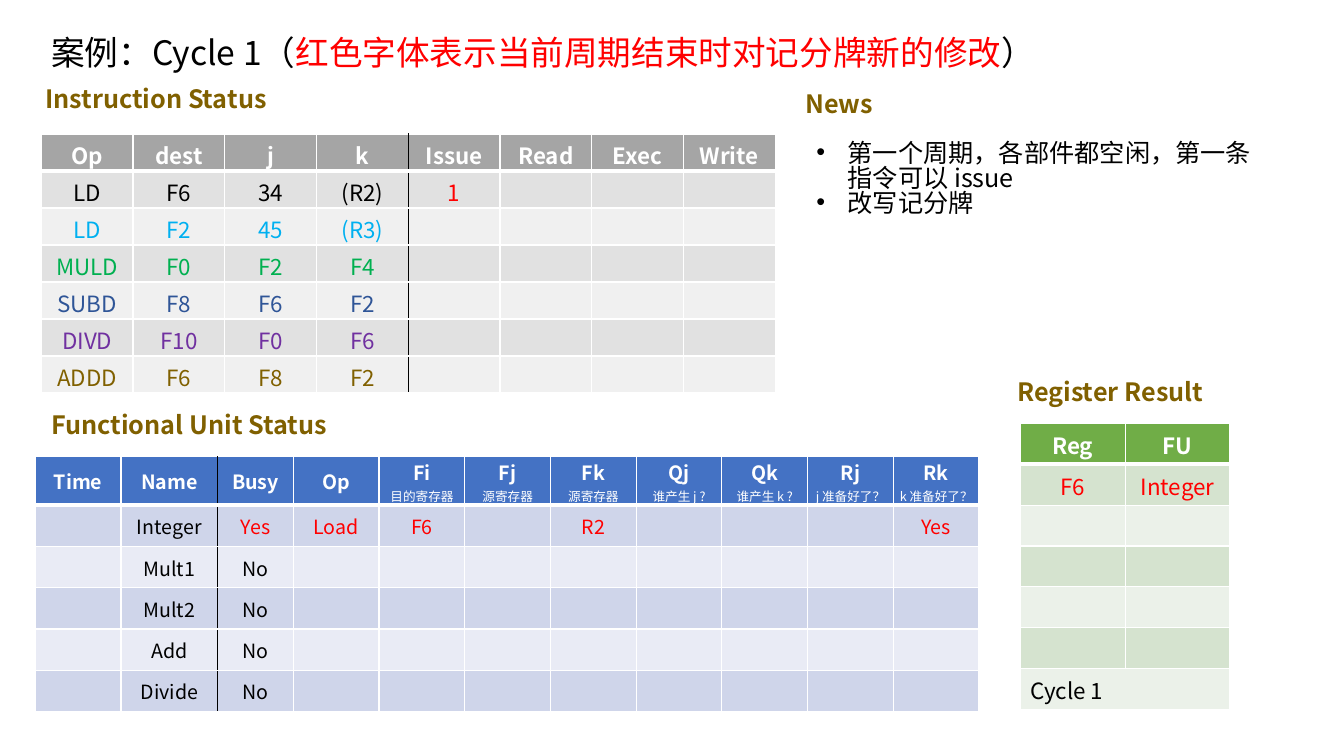
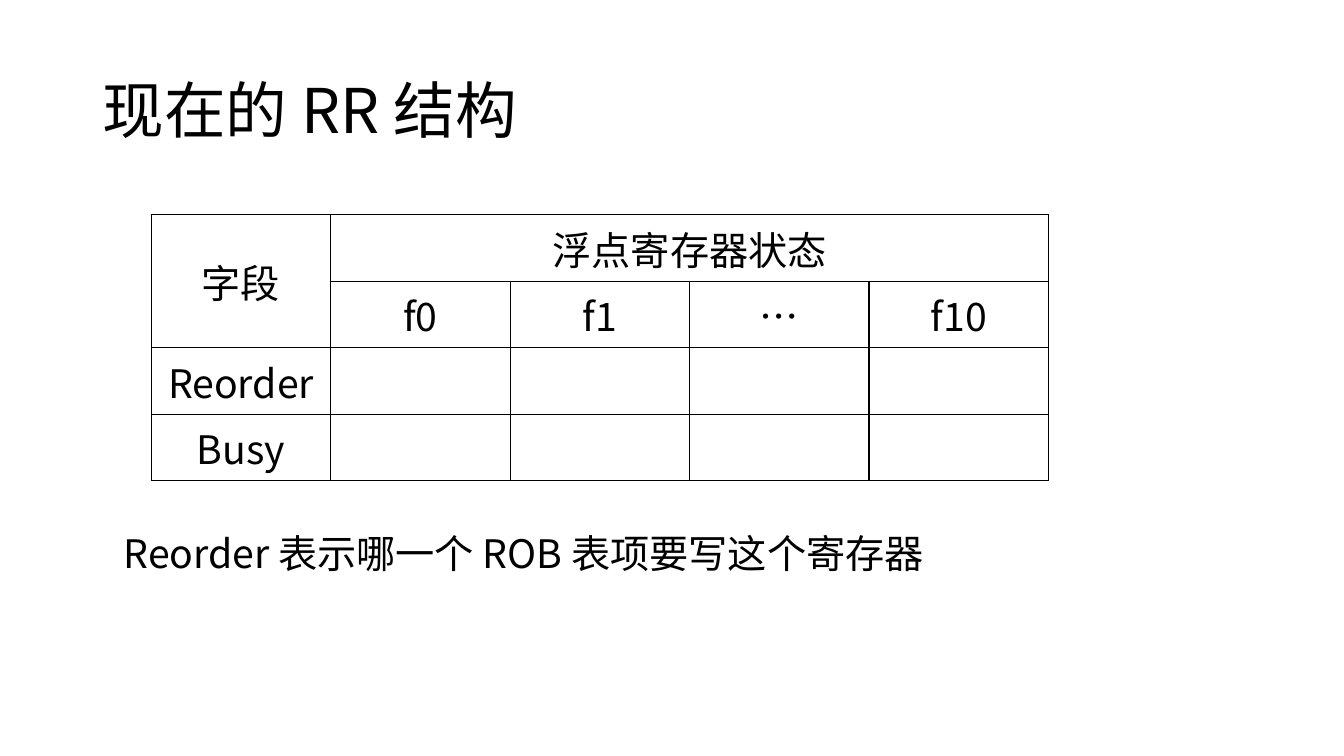
from dataclasses import dataclass

from lxml.etree import SubElement
from pptx import Presentation
from pptx.dml.color import RGBColor
from pptx.enum.text import MSO_ANCHOR as Anchor, PP_ALIGN as Align
from pptx.oxml import parse_xml
from pptx.oxml.ns import nsdecls, qn
from pptx.util import Inches, Pt

FONT = "Noto Sans CJK SC"
BLACK, WHITE, RED, GOLD = "000000", "FFFFFF", "FF0000", "806000"


@dataclass
class Style:
    """Look of one table: sizes, fills, borders and cell margins."""
    size: int
    header: str = ""
    bands: tuple = ()
    border: str = WHITE
    divider: int = 0
    anchor: Anchor = Anchor.MIDDLE
    margins: tuple = (0.1, 0.05, 0.05)


INSTRUCTION = Style(16, "A5A5A5", ("E1E1E1", "F0F0F0"), divider=4, margins=(0.1, 0.04, 0))
UNIT = Style(14, "4472C4", ("CFD5EA", "E9EBF5"), divider=2, margins=(0.03, 0.01, 0))
REGISTER = Style(16, "70AD47", ("D5E3CF", "EBF1E9"), anchor=Anchor.TOP, margins=(0.1, 0.05, 0))
PLAIN = Style(28, border=BLACK)


def rgb(value):
    """Turn a hex string into a colour."""
    return RGBColor.from_string(value)


def add_run(paragraph, text, size, color=BLACK, bold=False):
    """Append one run in the shared font."""
    run = paragraph.add_run()
    run.text = text
    font = run.font
    font.name, font.size, font.bold = FONT, Pt(size), bold
    font.color.rgb = rgb(color)
    SubElement(font._element, qn("a:ea"), typeface=FONT)


def add_text(slide, box, paragraphs, size, bold=False, anchor=Anchor.MIDDLE, spacing=None, bullet=False):
    """Place paragraphs, each a list of (text, colour) runs, in a box."""
    frame = slide.shapes.add_textbox(*map(Inches, box)).text_frame
    frame.word_wrap, frame.vertical_anchor = True, anchor
    for i, runs in enumerate(paragraphs):
        paragraph = frame.add_paragraph() if i else frame.paragraphs[0]
        if spacing:
            paragraph.line_spacing = spacing
        if bullet:
            props = paragraph._p.get_or_add_pPr()
            indent = Inches(0.31)
            props.set("marL", str(indent))
            props.set("indent", str(-indent))
            SubElement(props, qn("a:buFont"), typeface="Arial")
            SubElement(props, qn("a:buChar"), char="•")
        for text, color in runs:
            add_run(paragraph, text, size, color, bold)


def add_title(slide, box, runs, size):
    """Place a slide title."""
    add_text(slide, box, [runs], size, spacing=0.9)


def add_heading(slide, left, top, text):
    """Place the gold heading of a region."""
    add_text(slide, (left, top, 3.1, 0.4), [[(text, GOLD)]], 18, bold=True)


def set_borders(cell, edges):
    """Draw the left, right, top and bottom edges from (colour, width) pairs."""
    props = cell._tc.get_or_add_tcPr()
    for i, (side, (color, width)) in enumerate(zip("LRTB", edges)):
        props.insert(i, parse_xml(
            f'<a:ln{side} {nsdecls("a")} w="{Pt(width)}"><a:solidFill>'
            f'<a:srgbClr val="{color}"/></a:solidFill></a:ln{side}>'))


def style_cell(cell, row, column, style):
    """Give a cell its margins, fill and borders."""
    side, top, bottom = map(Inches, style.margins)
    cell.margin_left = cell.margin_right = side
    cell.margin_top, cell.margin_bottom = top, bottom
    cell.vertical_anchor = style.anchor
    if style.header:
        cell.fill.solid()
        cell.fill.fore_color.rgb = rgb(style.bands[(row - 1) % 2] if row else style.header)
    else:
        cell.fill.background()
    thin = (style.border, 1)
    thick = (style.border, 3) if style.header else thin
    divider = (BLACK, 1)
    set_borders(cell, (
        divider if style.divider and column == style.divider else thin,
        divider if style.divider and column == style.divider - 1 else thin,
        thick if row == 1 else thin,
        thick if row == 0 else thin))


def write_cell(cell, entry, style, heading, align=Align.CENTER):
    """Write an entry, a string or a (text, colour) pair; a second line is small."""
    text, color = entry if isinstance(entry, tuple) else (entry, WHITE if heading else BLACK)
    for i, line in enumerate(text.split("\n")):
        paragraph = cell.text_frame.add_paragraph() if i else cell.text_frame.paragraphs[0]
        paragraph.alignment = align
        if line:
            add_run(paragraph, line, 9 if i else style.size, color, heading and not i)


def add_grid(slide, left, top, widths, heights, rows, style):
    """Build a table from rows of entries and return it."""
    table = slide.shapes.add_table(
        len(heights), len(widths), Inches(left), Inches(top),
        Inches(sum(widths)), Inches(sum(heights))).table
    table.first_row = table.horz_banding = False
    for column, width in zip(table.columns, widths):
        column.width = Inches(width)
    for r, height in enumerate(heights):
        table.rows[r].height = Inches(height)
        for c in range(len(widths)):
            style_cell(table.cell(r, c), r, c, style)
        for c, entry in enumerate(rows[r] if r < len(rows) else []):
            write_cell(table.cell(r, c), entry, style, bool(style.header) and r == 0)
    return table


def instruction_status(slide, left, top):
    """Place the instruction table under its heading."""
    add_heading(slide, left - 0.06, top - 0.55, "Instruction Status")
    program = [
        (BLACK, "LD F6 34 (R2)"), ("00B0F0", "LD F2 45 (R3)"),
        ("00B050", "MULD F0 F2 F4"), ("2F5597", "SUBD F8 F6 F2"),
        ("7030A0", "DIVD F10 F0 F6"), (GOLD, "ADDD F6 F8 F2")]
    rows = [["Op", "dest", "j", "k", "Issue", "Read", "Exec", "Write"]]
    rows += [[(word, color) for word in line.split()] for color, line in program]
    rows[1].append(("1", RED))
    add_grid(slide, left, top, [0.91] * 8, [2.57 / 7] * 7, rows, INSTRUCTION)


def unit_status(slide, left, top):
    """Place the functional unit table under its heading."""
    add_heading(slide, left + 0.06, top - 0.52, "Functional Unit Status")
    rows = [
        ["Time", "Name", "Busy", "Op", "Fi\n目的寄存器", "Fj\n源寄存器", "Fk\n源寄存器",
         "Qj\n谁产生 j ?", "Qk\n谁产生 k ?", "Rj\nj 准备好了？", "Rk\nk 准备好了？"],
        ["", "Integer"] + [(text, RED) for text in ("Yes", "Load", "F6", "", "R2", "", "", "", "Yes")]]
    rows += [["", name, "No"] for name in ("Mult1", "Mult2", "Add", "Divide")]
    add_grid(slide, left, top, [0.85, 0.96, 0.75] + [0.85] * 8, [0.48] + [0.41] * 5, rows, UNIT)


def register_result(slide, left, top):
    """Place the register table under its heading."""
    add_heading(slide, left - 0.13, top - 0.52, "Register Result")
    rows = [["Reg", "FU"], [("F6", RED), ("Integer", RED)]]
    table = add_grid(slide, left, top, [1.04] * 2, [2.84 / 7] * 7, rows, REGISTER)
    cycle = table.cell(6, 0)
    cycle.merge(table.cell(6, 1))
    write_cell(cycle, "Cycle 1", REGISTER, False, Align.LEFT)


def news(slide, left, top):
    """Place the bulleted news under its heading."""
    add_heading(slide, left, top, "News")
    lines = ["第一个周期，各部件都空闲，第一条指令可以 issue", "改写记分牌"]
    add_text(slide, (left + 0.11, top + 0.53, 4.54, 1.01), [[(line, BLACK)] for line in lines],
             18, anchor=Anchor.TOP, spacing=0.83, bullet=True)


def scoreboard_slide(slide):
    """Fill the slide on the first scoreboard cycle."""
    add_title(slide, (0.41, 0.2, 11.5, 0.68), [
        ("案例：Cycle 1（", BLACK), ("红色字体表示当前周期结束时对记分牌新的修改", RED), ("）", BLACK)], 24)
    instruction_status(slide, 0.41, 1.33)
    unit_status(slide, 0.35, 4.53)
    register_result(slide, 10.12, 4.2)
    news(slide, 7.89, 0.83)


def register_structure_slide(slide):
    """Fill the slide on the register status structure."""
    add_title(slide, (0.92, 0.4, 11.5, 1.45), [("现在的 RR 结构", BLACK)], 44)
    rows = [["字段", "浮点寄存器状态"], ["", "f0", "f1", "…", "f10"], ["Reorder"], ["Busy"]]
    table = add_grid(slide, 1.5, 2.13, [1.78] * 5, [0.66] * 4, rows, PLAIN)
    table.cell(0, 0).merge(table.cell(1, 0))
    table.cell(0, 1).merge(table.cell(0, 4))
    add_text(slide, (1.13, 5.28, 8.35, 1), [[("Reorder 表示哪一个 ROB 表项要写这个寄存器", BLACK)]],
             28, anchor=Anchor.TOP, spacing=0.83)


def main():
    """Build and save the presentation."""
    deck = Presentation()
    deck.slide_width, deck.slide_height = Inches(13.33), Inches(7.5)
    for fill_slide in (scoreboard_slide, register_structure_slide):
        fill_slide(deck.slides.add_slide(deck.slide_layouts[6]))
    deck.save("out.pptx")


if __name__ == "__main__":
    main()
